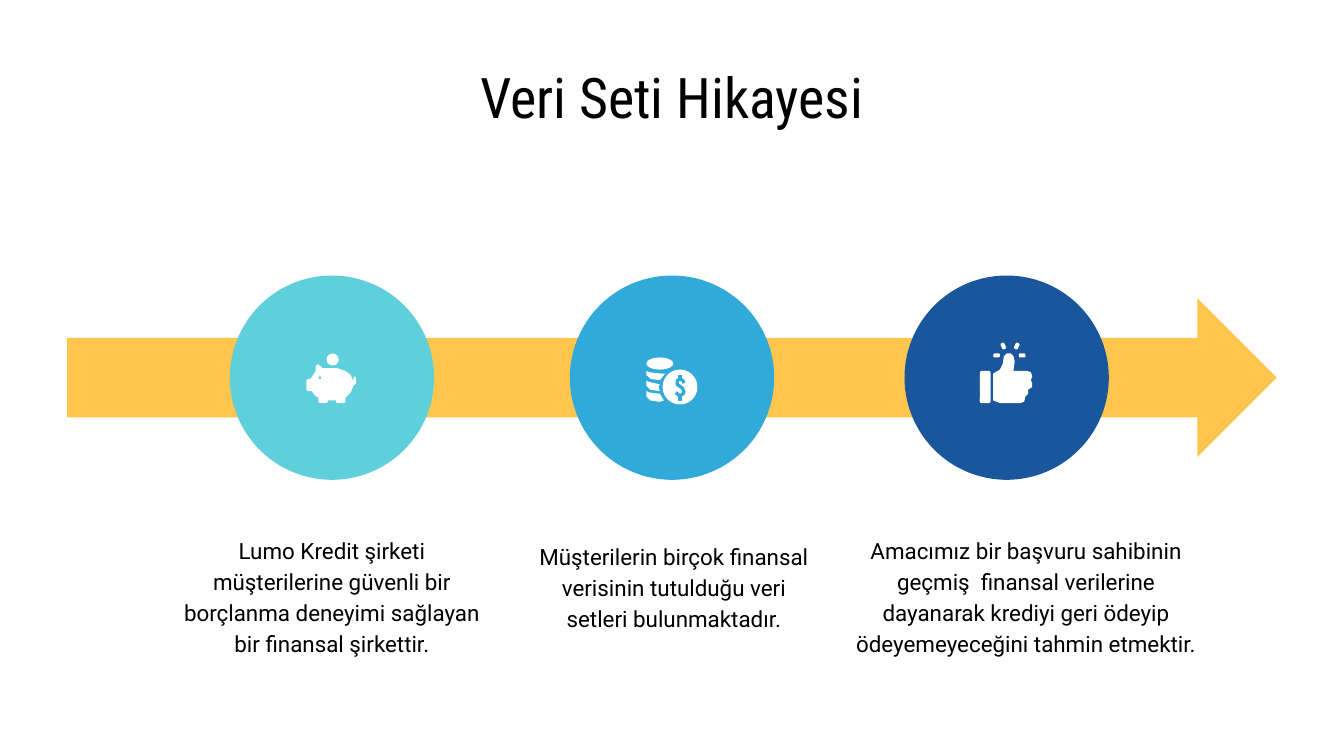
from pptx import Presentation
from pptx.dml.color import RGBColor
from pptx.enum.shapes import MSO_SHAPE
from pptx.enum.text import MSO_ANCHOR, PP_ALIGN
from pptx.util import Inches, Pt

OVAL, ROUNDED, ARROW = MSO_SHAPE.OVAL, MSO_SHAPE.ROUNDED_RECTANGLE, MSO_SHAPE.RIGHT_ARROW
PILL = MSO_SHAPE.FLOWCHART_TERMINATOR
COLORS = {"arrow": "FFC64E", "teal": "5FD0DB", "blue": "32AAD9", "navy": "1A569C",
          "icon": "FFFFFF", "text": "000000"}

TITLE = "Veri Seti Hikayesi"
TITLE_FONT = {"name": "Roboto Condensed", "size": Pt(30), "bold": False}
BODY_FONT = {"name": "Roboto", "size": Pt(12)}
# Circle left edge, circle colour, text box, text
STEPS = [
    (1.71, "teal", (1.26, 3.87, 2.42, 0.92),
     "Lumo Kredit şirketi müşterilerine güvenli bir borçlanma deneyimi sağlayan "
     "bir finansal şirkettir."),
    (4.24, "blue", (3.86, 3.91, 2.31, 1.07),
     "Müşterilerin birçok finansal verisinin tutulduğu veri setleri bulunmaktadır."),
    (6.73, "navy", (6.18, 3.87, 2.91, 1.57),
     "Amacımız bir başvuru sahibinin geçmiş  finansal verilerine dayanarak krediyi "
     "geri ödeyip ödeyemeyeceğini tahmin etmektir."),
]
CIRCLE_TOP, CIRCLE_SIZE = 2.05, 1.52

# Icon outlines, in hundredths of an inch
PIG = [(236, 271), (235, 273), (235, 276), (233, 279), (231, 282), (229, 282), (228, 283),
       (228, 290), (229, 291), (232, 291), (234, 294), (237, 296), (237, 299), (238, 300),
       (243, 300), (244, 299), (244, 298), (250, 298), (250, 299), (251, 300), (256, 300),
       (257, 299), (257, 296), (261, 292), (263, 287), (265, 285), (265, 281), (264, 280),
       (263, 281), (263, 284), (261, 279), (257, 276), (251, 274), (240, 274), (238, 272)]
COIN_EDGES = [
    [(481, 276), (481, 279), (484, 282), (491, 283), (495, 278), (491, 278), (483, 277)],
    [(481, 283), (481, 287), (484, 290), (491, 291), (490, 288), (491, 286), (482, 284)],
    [(481, 291), (481, 295), (484, 298), (491, 299), (494, 298), (491, 293), (483, 292)],
]
HAND = [(749, 263), (747, 265), (746, 271), (744, 275), (739, 278), (739, 298), (744, 300),
        (759, 300), (762, 299), (763, 295), (765, 293), (765, 290), (768, 288), (768, 285),
        (767, 283), (768, 280), (767, 277), (764, 276), (754, 276), (755, 269), (754, 265),
        (752, 263)]
DOLLAR = [
    [(509, 285), (508, 283), (506, 282), (504, 283), (504, 286), (508, 289), (509, 292),
     (507, 294), (505, 294), (503, 292)],
    [(506, 279), (506, 282)],
    [(506, 294), (506, 298)],
]
# Preset, box in inches, colour, rotation
ICON_PARTS = [
    (OVAL, (2.43, 2.63, 0.09, 0.09), "icon", 0),
    (OVAL, (2.37, 2.8, 0.02, 0.02), "teal", 0),
    (OVAL, (4.81, 2.66, 0.2, 0.09), "icon", 0),
    (OVAL, (4.93, 2.75, 0.26, 0.26), "icon", 0),
    (ROUNDED, (7.29, 2.76, 0.08, 0.24), "icon", 0),
    (PILL, (7.39, 2.63, 0.05, 0.03), "icon", 0),
    (PILL, (7.58, 2.63, 0.05, 0.03), "icon", 0),
    (PILL, (7.44, 2.56, 0.05, 0.03), "icon", 65),
    (PILL, (7.54, 2.56, 0.05, 0.03), "icon", 115),
]


def rgb(name):
    return RGBColor.from_string(COLORS[name])


def paint(s, color):
    s.shadow.inherit = False
    s.fill.solid()
    s.fill.fore_color.rgb = rgb(color)
    s.line.fill.background()


def add_preset(preset, box, color, rotation=0):
    s = slide.shapes.add_shape(preset, *map(Inches, box))
    s.rotation = rotation
    paint(s, color)


def build_outline(strokes, close):
    """Join several point lists into one freeform."""
    builder = slide.shapes.build_freeform(*strokes[0][0], scale=Inches(0.01))
    for i, points in enumerate(strokes):
        if i:
            builder.move_to(*points[0])
        builder.add_line_segments(points[1:], close=close)
    return builder.convert_to_shape()


def set_text(s, text, font, anchor, spacing):
    tf = s.text_frame
    tf.word_wrap = True
    tf.vertical_anchor = anchor
    for side in ("left", "top", "right", "bottom"):
        setattr(tf, f"margin_{side}", Inches(0.1))
    p = tf.paragraphs[0]
    p.alignment, p.line_spacing = PP_ALIGN.CENTER, spacing
    r = p.add_run()
    r.text = text
    for key, value in font.items():
        setattr(r.font, key, value)
    r.font.color.rgb = rgb("text")


prs = Presentation()
prs.slide_width = Inches(10)
prs.slide_height = prs.slide_width * 9 // 16
slide = prs.slides.add_slide(prs.slide_layouts[5])

title = slide.shapes.title
title.left, title.top, title.width, title.height = map(Inches, (0.5, 0.45, 9, 0.53))
set_text(title, TITLE, TITLE_FONT, MSO_ANCHOR.MIDDLE, 1)

add_preset(ARROW, (0.5, 2.22, 9, 1.18), "arrow")
for left, color, box, text in STEPS:
    add_preset(OVAL, (left, CIRCLE_TOP, CIRCLE_SIZE, CIRCLE_SIZE), color)
    text_box = slide.shapes.add_textbox(*map(Inches, box))
    set_text(text_box, text, BODY_FONT, MSO_ANCHOR.TOP, 1.15)

for points in (PIG, *COIN_EDGES, HAND):
    paint(build_outline([points], close=True), "icon")
for part in ICON_PARTS:
    add_preset(*part)

dollar = build_outline(DOLLAR, close=False)
dollar.shadow.inherit = False
dollar.fill.background()
dollar.line.color.rgb = rgb("blue")
dollar.line.width = Pt(1.75)

prs.save("out.pptx")
